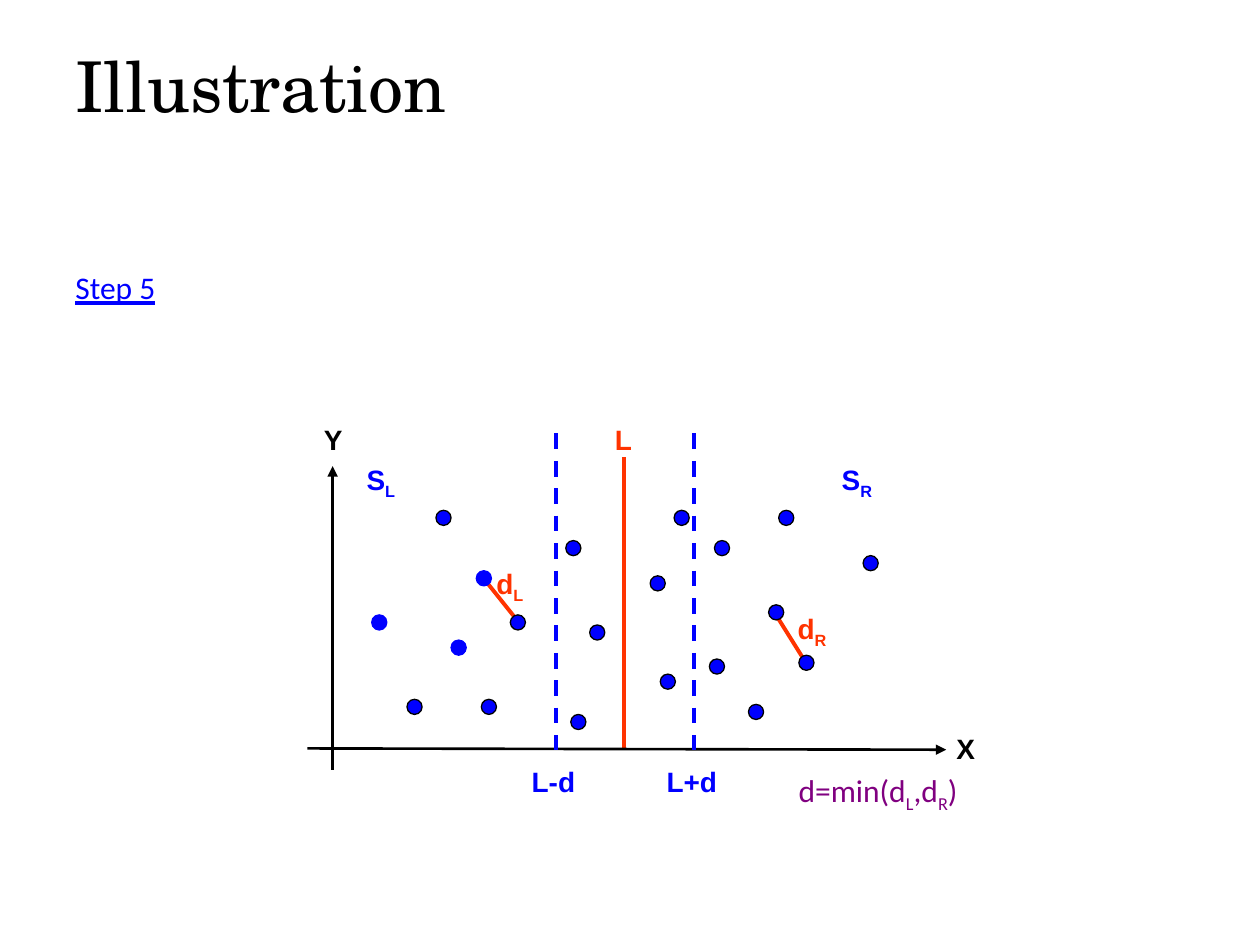
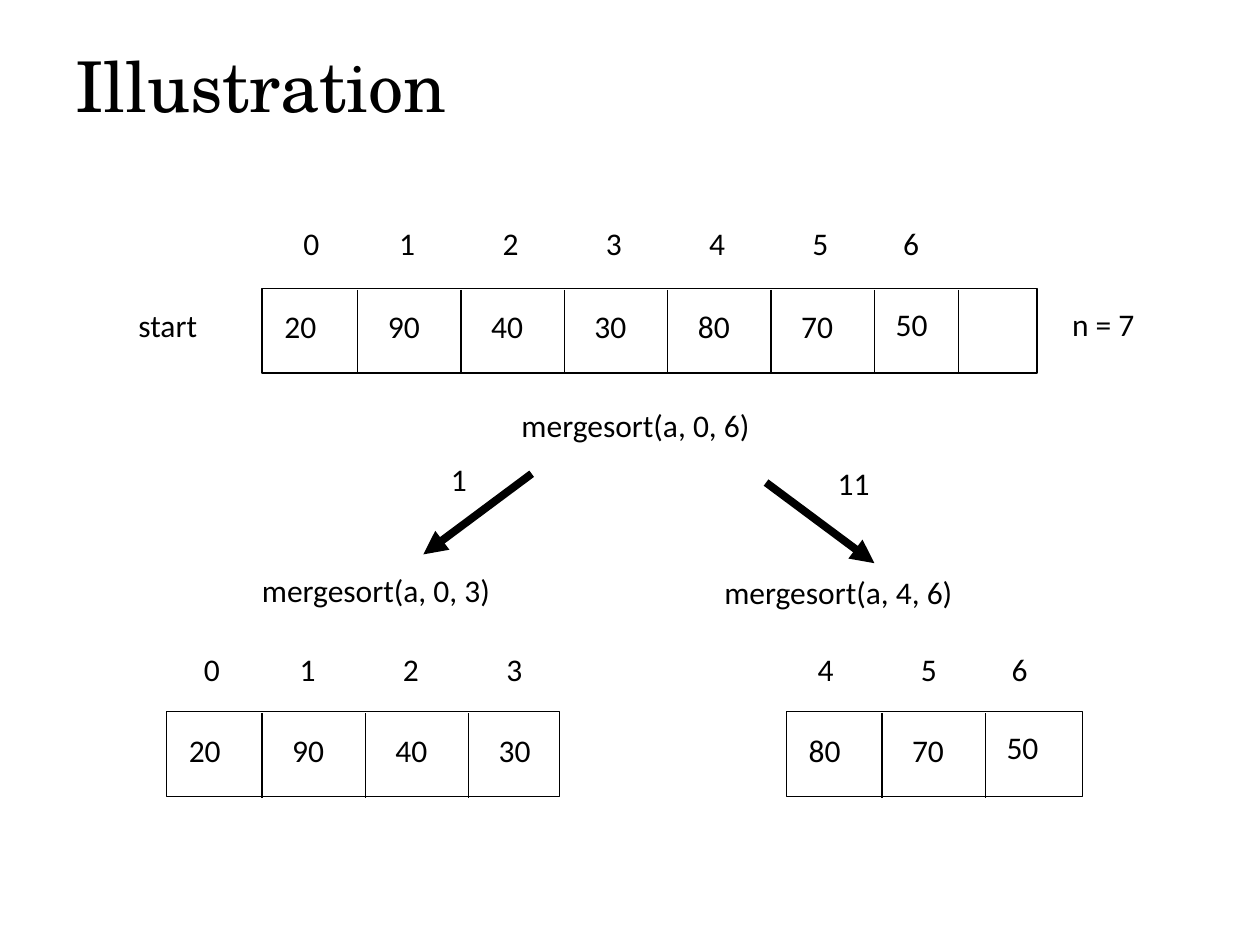
"""Build two illustration slides: closest pair of points and mergesort."""
import pptx
import pptx.dml.color
import pptx.enum.dml
import pptx.enum.shapes
import pptx.enum.text
import pptx.oxml.ns
import pptx.util
from lxml import etree

Inches = pptx.util.Inches
Pt = pptx.util.Pt
qn = pptx.oxml.ns.qn

COLORS = {"black": "000000", "blue": "0000FF", "red": "FF3300", "purple": "800080"}
TITLE = {"name": "TeX Gyre Schola", "size": Pt(40)}
BODY = {"name": "Calibri", "size": Pt(18)}
LINK = {**BODY, "underline": True}
LABEL = {"name": "Arial", "size": Pt(16), "bold": True}
NO_MARGINS = dict.fromkeys(("margin_left", "margin_top", "margin_right", "margin_bottom"), 0)
FIT = {"word_wrap": False, "auto_size": pptx.enum.text.MSO_AUTO_SIZE.SHAPE_TO_FIT_TEXT}
MIDDLE = {"word_wrap": True, "vertical_anchor": pptx.enum.text.MSO_ANCHOR.MIDDLE}

DOT_SIZE = 0.12
BLUE_EDGED_DOTS = [(2.95, 4.88), (3.78, 4.53), (3.58, 5.08)]
BLACK_EDGED_DOTS = [
    (3.46, 4.05), (4.49, 4.29), (3.23, 5.55), (3.82, 5.55), (4.53, 5.67), (5.24, 5.35),
    (5.35, 4.05), (4.05, 4.88), (4.68, 4.96), (5.16, 4.57), (5.63, 5.23), (5.94, 5.59),
    (6.34, 5.2), (6.1, 4.8), (5.67, 4.29), (6.18, 4.05), (6.85, 4.41),
]

CELL_PITCH = 0.82
INDEX_NUDGE = {0: 0.06, 6: -0.1}
VALUE_NUDGE = {6: (-0.07, -0.02)}


def color(name):
    """Return the named colour."""
    return pptx.dml.color.RGBColor.from_string(COLORS[name])


def apply(target, settings):
    """Set each attribute of the target from a dict."""
    for name, value in settings.items():
        setattr(target, name, value)


def add_text(slide, left, top, width, height, parts, style=BODY, ink="black", frame=FIT):
    """Add one line of text whose odd-numbered parts are subscripts."""
    box = slide.shapes.add_textbox(Inches(left), Inches(top), Inches(width), Inches(height))
    apply(box.text_frame, frame)
    paragraph = box.text_frame.paragraphs[0]
    for position, part in enumerate(parts):
        run = paragraph.add_run()
        run.text = part
        apply(run.font, style)
        run.font.color.rgb = color(ink)
        if position % 2:
            run.font._element.set("baseline", "-25000")


def add_title(slide, title):
    """Add the shared slide title."""
    add_text(slide, 0.5, 0.3, 9, 0.74, [title], TITLE, frame=MIDDLE)


def add_label(slide, left, top, width, parts, ink):
    """Add a bold diagram label without margins."""
    add_text(slide, left, top, width, 0.27, parts, LABEL, ink, {**FIT, **NO_MARGINS})


def add_line(slide, start, end, width, ink="black", dashed=False, arrow=False):
    """Add a straight line, optionally dashed or with an arrowhead at its end."""
    connector = slide.shapes.add_connector(
        pptx.enum.shapes.MSO_CONNECTOR.STRAIGHT, *map(Inches, (*start, *end)))
    connector.line.color.rgb = color(ink)
    connector.line.width = Pt(width)
    if dashed:
        connector.line.dash_style = pptx.enum.dml.MSO_LINE.DASH
    properties = connector._element.spPr
    if arrow:
        etree.SubElement(properties.find(qn("a:ln")), qn("a:tailEnd"), type="triangle")
    etree.SubElement(properties, qn("a:effectLst"))


def add_outlined(slide, kind, left, top, width, height, ink, weight, fill=None):
    """Add a preset shape with an outline and an optional fill."""
    shape = slide.shapes.add_shape(kind, *map(Inches, (left, top, width, height)))
    shape.shadow.inherit = False
    if fill:
        shape.fill.solid()
        shape.fill.fore_color.rgb = color(fill)
    else:
        shape.fill.background()
    shape.line.color.rgb = color(ink)
    shape.line.width = Pt(weight)


def add_dots(slide, positions, edge):
    """Add the blue points of the plane."""
    for left, top in positions:
        add_outlined(slide, pptx.enum.shapes.MSO_SHAPE.OVAL, left, top,
                     DOT_SIZE, DOT_SIZE, edge, 0, "blue")


def add_divider(slide, x, top):
    """Add a line between two array cells."""
    add_line(slide, (x, top + 0.01), (x, top + 0.68), 0.75)


def add_array(slide, left, top, width, index_offset, index_top, first, values):
    """Draw an array as a divided box with indices above its values."""
    add_outlined(slide, pptx.enum.shapes.MSO_SHAPE.RECTANGLE, left, top, width, 0.67,
                 "black", 0.75)
    for position, value in enumerate(values):
        index = first + position
        cell = left + CELL_PITCH * position
        if position:
            add_divider(slide, cell - 0.06, top)
        shift, lift = VALUE_NUDGE.get(index, (0, 0))
        add_text(slide, cell + 0.08 + shift, top + 0.1 + lift, 0.53, 0.5, [str(value)])
        add_text(slide, cell + index_offset + INDEX_NUDGE.get(index, 0), index_top,
                 0.37, 0.5, [str(index)])


def build_closest_pair(slide):
    """Draw the strip of width 2d around the dividing line."""
    add_text(slide, 0.5, 2.08, 1.61, 0.7, ["Step 5"], LINK, "blue")
    add_line(slide, (6.14, 4.85), (6.39, 5.25), 2.25, "red")
    add_line(slide, (3.83, 4.58), (4.11, 4.93), 2.25, "red")
    add_line(slide, (4.95, 3.63), (4.95, 5.94), 2.25, "red")
    add_line(slide, (2.64, 6.11), (2.64, 3.7), 1.5, arrow=True)
    add_line(slide, (2.44, 5.94), (7.51, 5.95), 1.5, arrow=True)
    add_dots(slide, BLUE_EDGED_DOTS, "blue")
    add_dots(slide, BLACK_EDGED_DOTS, "black")
    for x in (4.41, 5.51):
        add_line(slide, (x, 3.44), (x, 5.95), 2.25, "blue", dashed=True)
    for left, top, width, parts, ink in (
        (2.57, 3.35, 0.15, ["Y"], "black"),
        (7.59, 5.81, 0.15, ["X"], "black"),
        (4.88, 3.35, 0.14, ["L"], "red"),
        (2.91, 3.67, 0.24, ["S", "L"], "blue"),
        (6.68, 3.67, 0.26, ["S", "R"], "blue"),
        (3.94, 4.5, 0.23, ["d", "L"], "red"),
        (6.33, 4.85, 0.25, ["d", "R"], "red"),
        (4.22, 6.07, 0.35, ["L-d"], "blue"),
        (5.29, 6.07, 0.4, ["L+d"], "blue"),
    ):
        add_label(slide, left, top, width, parts, ink)
    add_text(slide, 6.24, 6.07, 1.66, 0.4, ["d=min(d", "L", ",d", "R", ")"], ink="purple")


def build_mergesort(slide):
    """Draw the first split of the mergesort recursion."""
    values = [20, 90, 40, 30, 80, 70, 50]
    add_array(slide, 2.08, 2.29, 6.15, 0.17, 1.73, 0, values)
    add_divider(slide, 7.61, 2.29)
    add_array(slide, 1.32, 5.65, 3.12, 0.14, 5.11, 0, values[:4])
    add_array(slide, 6.24, 5.65, 2.35, 0.15, 5.11, 4, values[4:])
    add_line(slide, (4.22, 3.76), (3.36, 4.4), 4.5, arrow=True)
    add_line(slide, (6.08, 3.83), (6.94, 4.47), 4.5, arrow=True)
    for left, top, width, text in (
        (1, 2.38, 0.77, "start"),
        (8.41, 2.37, 0.89, "n = 7"),
        (4.04, 3.17, 2.65, "mergesort(a, 0, 6)"),
        (1.98, 4.48, 2.65, "mergesort(a, 0, 3)"),
        (5.65, 4.5, 2.65, "mergesort(a, 4, 6)"),
        (3.48, 3.6, 0.37, "1"),
        (6.55, 3.63, 0.53, "11"),
    ):
        add_text(slide, left, top, width, 0.5, [text])


def main():
    """Build and save the presentation."""
    presentation = pptx.Presentation()
    apply(presentation, {"slide_width": Inches(10), "slide_height": Inches(7.5)})
    for build in (build_closest_pair, build_mergesort):
        slide = presentation.slides.add_slide(presentation.slide_layouts[6])
        add_title(slide, "Illustration")
        build(slide)
    presentation.save("out.pptx")


if __name__ == "__main__":
    main()
